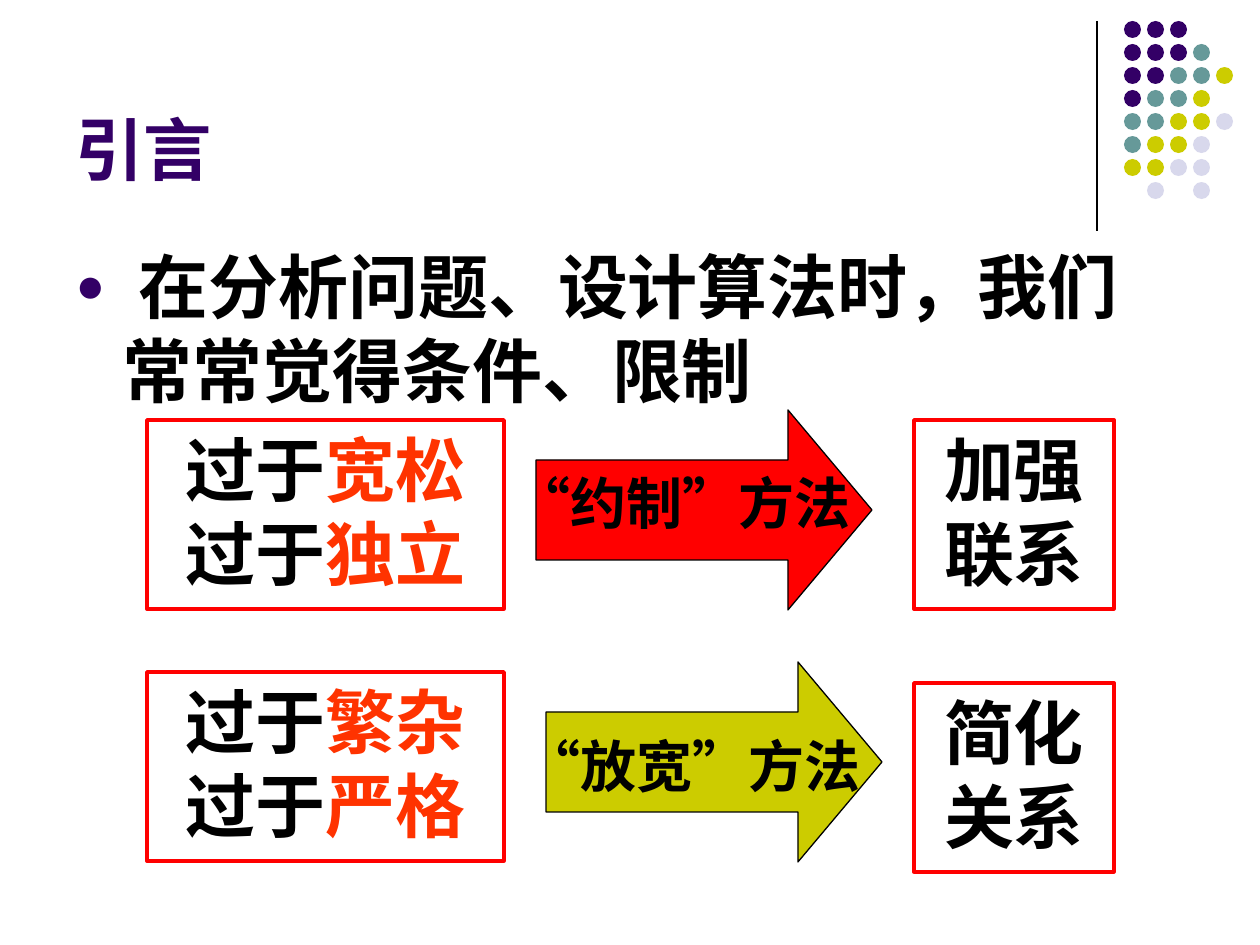
from lxml.etree import SubElement
from pptx import Presentation
from pptx.dml.color import RGBColor
from pptx.enum.lang import MSO_LANGUAGE_ID as Language
from pptx.enum.shapes import MSO_CONNECTOR as Connector, MSO_SHAPE as Shape
from pptx.enum.text import MSO_ANCHOR as Anchor, MSO_AUTO_SIZE as AutoSize, PP_ALIGN as Align
from pptx.oxml.ns import qn
from pptx.util import Emu, Pt

SCALE = 914400 / 126
PURPLE, TEAL, OLIVE, LILAC = "330066", "669999", "CCCC00", "D8D8EC"
BLACK, RED, ORANGE = "000000", "FF0000", "FF3300"

TITLE = "引言"
BODY = " 在分析问题、设计算法时，我们常常觉得条件、限制"
DOT_COLORS = {"P": PURPLE, "T": TEAL, "O": OLIVE, "L": LILAC}
DOT_ROWS = ["PPP", "PPPT", "PPTTO", "PTTO", "TTOOL", "TOOL", "OOLL", " L L"]
DOT_LEFT, DOT_TOP, DOT_PITCH, DOT_SIZE = 1124, 21, 23, 17

CAUSES = [
    ((147, 420, 357, 189), [("过于", "宽松"), ("过于", "独立")]),
    ((147, 672, 357, 189), [("过于", "繁杂"), ("过于", "严格")]),
]
METHODS = [
    ((536, 410, 336, 200), RED, (473, 462, 420, 81), "“约制”方法"),
    ((546, 662, 336, 200), OLIVE, (483, 725, 420, 81), "“放宽”方法"),
]
RESULTS = [
    ((914, 420, 200, 189), "加强联系"),
    ((914, 683, 200, 189), "简化关系"),
]


def px(value):
    return Emu(round(value * SCALE))


def color(value):
    return RGBColor.from_string(value)


def add_shape(kind, box, fill=None, line=None, width=0.75):
    shape = slide.shapes.add_shape(kind, *map(px, box))
    shape.shadow.inherit = False
    if fill:
        shape.fill.solid()
        shape.fill.fore_color.rgb = color(fill)
    else:
        shape.fill.background()
    if line:
        shape.line.color.rgb = color(line)
        shape.line.width = Pt(width)
    else:
        shape.line.fill.background()
    return shape


def write(shape, lines, size, align=Align.CENTER, anchor=Anchor.TOP, ink=BLACK):
    frame = shape.text_frame
    frame.word_wrap = True
    frame.auto_size = AutoSize.NONE
    frame.vertical_anchor = anchor
    for index, parts in enumerate(lines):
        paragraph = frame.add_paragraph() if index else frame.paragraphs[0]
        paragraph.alignment = align
        paragraph.space_before = Pt(0)
        font = paragraph.font
        font.name, font.size, font.bold = "Arial", Pt(size), True
        font.color.rgb = color(ink)
        for part, part_color in zip(parts, (ink, ORANGE)):
            run = paragraph.add_run()
            run.text = part
            run.font.language_id = Language.SIMPLIFIED_CHINESE
            if part_color != ink:
                run.font.color.rgb = color(part_color)


def place(shape, box):
    shape.left, shape.top, shape.width, shape.height = map(px, box)


def add_bullet(paragraph, character, bullet_color, percent, indent):
    properties = paragraph._p.get_or_add_pPr()
    properties.set("marL", str(px(indent)))
    properties.set("indent", str(-px(indent)))
    SubElement(SubElement(properties, qn("a:buClr")), qn("a:srgbClr"), val=bullet_color)
    SubElement(properties, qn("a:buSzPct"), val=str(percent * 1000))
    SubElement(properties, qn("a:buFont"), typeface="Arial")
    SubElement(properties, qn("a:buChar"), char=character)


presentation = Presentation()
presentation.slide_width, presentation.slide_height = px(1260), px(945)
slide = presentation.slides.add_slide(presentation.slide_layouts[1])
title, body = slide.placeholders

divider = slide.shapes.add_connector(Connector.STRAIGHT, px(1097), px(21), px(1097), px(231))
divider.line.color.rgb = color(BLACK)
divider.line.width = Pt(0.75)
SubElement(divider._element.spPr, qn("a:effectLst"))

for row, dots in enumerate(DOT_ROWS):
    for column, dot in enumerate(dots):
        if dot in DOT_COLORS:
            left, top = DOT_LEFT + column * DOT_PITCH, DOT_TOP + row * DOT_PITCH
            add_shape(Shape.OVAL, (left, top, DOT_SIZE, DOT_SIZE), DOT_COLORS[dot])

place(title, (63, 16, 1040, 179))
write(title, [[TITLE]], 39, Align.LEFT, Anchor.BOTTOM, PURPLE)
place(body, (63, 237, 1134, 607))
add_bullet(body.text_frame.paragraphs[0], "●", PURPLE, 70, 47)
write(body, [[BODY]], 40, Align.LEFT)

for box, lines in CAUSES:
    write(add_shape(Shape.RECTANGLE, box, line=RED, width=2), lines, 40)

for box, fill, label_box, label in METHODS:
    arrow = add_shape(Shape.RIGHT_ARROW, box, fill, BLACK)
    arrow.adjustments[1] = 0.42
    write(slide.shapes.add_textbox(*map(px, label_box)), [[label]], 32)

for box, label in RESULTS:
    write(add_shape(Shape.RECTANGLE, box, line=RED, width=2), [[label]], 40)

presentation.save("out.pptx")
